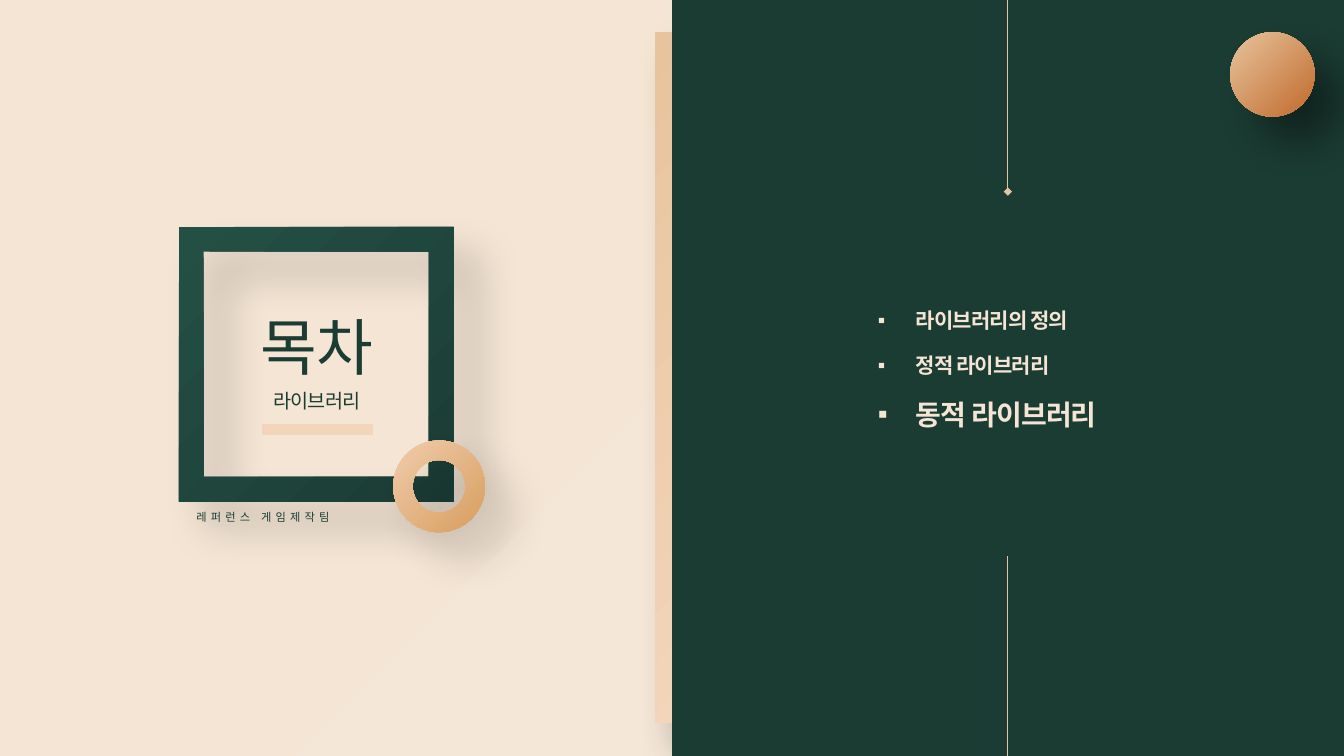
from dataclasses import dataclass

from lxml.etree import SubElement
from pptx import Presentation
from pptx.dml.color import RGBColor
from pptx.dml.fill import FillFormat
from pptx.enum.shapes import MSO_CONNECTOR, MSO_SHAPE
from pptx.enum.text import MSO_ANCHOR, MSO_AUTO_SIZE, PP_ALIGN
from pptx.oxml.ns import qn
from pptx.util import Cm, Pt

FONT = "Noto Sans CJK KR"
WIDE, HIGH = 33.87, 19.05
MID = 25.4
CREAM = RGBColor(0xF4, 0xE5, 0xD4)
PALE = RGBColor(0xF5, 0xE7, 0xD8)
SAND = RGBColor(0xE7, 0xC4, 0x9D)
PEACH = RGBColor(0xF3, 0xD5, 0xBB)
BLUSH = RGBColor(0xF0, 0xCC, 0xAC)
GOLD = RGBColor(0xD8, 0x9E, 0x5F)
RUST = RGBColor(0xC1, 0x6A, 0x2C)
ROSE = RGBColor(0xE4, 0xC2, 0xA9)
MOSS = RGBColor(0x24, 0x50, 0x44)
PINE = RGBColor(0x1B, 0x3C, 0x35)
DARK = RGBColor(0x1B, 0x3C, 0x33)

Box = tuple[float, float, float, float]


@dataclass
class Form:
    kind: MSO_SHAPE
    box: Box
    start: RGBColor
    stop: RGBColor
    shade: int = 0  # shadow strength in percent
    hole: float | None = None


@dataclass
class Label:
    text: str
    size: float
    gap: float = 0  # letter spacing in points


@dataclass
class Rule:
    left: float
    top: float
    right: float
    foot: float
    color: RGBColor
    width: float
    tip: str = ""


STRIP = Form(MSO_SHAPE.RECTANGLE, (16.51, 0.81, 0.94, 17.4), SAND, PEACH, 40)
PANEL = Form(MSO_SHAPE.RECTANGLE, (16.93, 0, 16.94, HIGH), PINE, DARK)
FRAME = Form(MSO_SHAPE.FRAME, (4.51, 5.72, 6.92, 6.92), MOSS, PINE, 17, 0.09)
RING = Form(MSO_SHAPE.DONUT, (9.91, 11.1, 2.31, 2.31), BLUSH, GOLD, 17, 0.213)
BALL = Form(MSO_SHAPE.OVAL, (31, 0.81, 2.13, 2.13), SAND, RUST, 40)
TOPICS = [
    Label("라이브러리의 정의", 15, -0.6),
    Label("정적 라이브러리", 15, -0.6),
    Label("동적 라이브러리", 20, -0.6),
]
RULES = [
    Rule(MID, 0, MID, 4.83, ROSE, 0.75, "diamond"),
    Rule(MID, 14.02, MID, HIGH, ROSE, 0.75),
    Rule(6.6, 10.82, 9.4, 10.82, PEACH, 8),
]


def apply(target, style: dict) -> None:
    for name, value in style.items():
        setattr(target, name, value)


def place(shape, box: Box) -> None:
    sides = ("left", "top", "width", "height")
    apply(shape, dict(zip(sides, map(Cm, box))))


def blend(fill: FillFormat, start: RGBColor, stop: RGBColor) -> None:
    fill.gradient()
    fill.gradient_angle = 315
    for mark, color, spot in zip(fill.gradient_stops, (start, stop), (0, 1)):
        mark.color.rgb = color
        mark.position = spot


def spread(root) -> None:
    """Turn the first gradient under root into one from the bottom right."""
    grad = next(root.iter(qn("a:gradFill")))
    grad.remove(grad.find(qn("a:lin")))
    ray = SubElement(grad, qn("a:path"), path="circle")
    SubElement(ray, qn("a:fillToRect"), l="100000", t="100000")


def draw(slide, form: Form):
    shape = slide.shapes.add_shape(form.kind, *map(Cm, form.box))
    blend(shape.fill, form.start, form.stop)
    shape.line.fill.background()
    shape.shadow.inherit = False
    if form.hole is not None:
        shape.adjustments[0] = form.hole
    if form.shade:
        glow = shape.element.spPr.find(qn("a:effectLst"))
        cast = SubElement(glow, qn("a:outerShdw"), blurRad=str(Pt(30)),
                          dist=str(Pt(26)), dir="2700000", algn="tl",
                          rotWithShape="0")
        tint = SubElement(cast, qn("a:srgbClr"), val="000000")
        SubElement(tint, qn("a:alpha"), val=str(form.shade * 1000))
    return shape


def write(para, label: Label, color: RGBColor, bold: bool = False) -> None:
    run = para.add_run()
    run.text = label.text
    apply(run.font, {"name": FONT, "size": Pt(label.size), "bold": bold})
    run.font.color.rgb = color
    props = run.font._element
    props.set("spc", str(round(label.gap * 100)))
    SubElement(props, qn("a:ea"), typeface=FONT)


def setup(shape, box: Box, inset: bool = True):
    place(shape, box)
    frame = shape.text_frame
    apply(frame, {"word_wrap": True, "auto_size": MSO_AUTO_SIZE.NONE,
                  "vertical_anchor": MSO_ANCHOR.MIDDLE})
    if not inset:
        sides = ("left", "top", "right", "bottom")
        apply(frame, {f"margin_{side}": 0 for side in sides})
    return frame


def center(shape, box: Box, label: Label, inset: bool = False) -> None:
    para = setup(shape, box, inset).paragraphs[0]
    apply(para, {"alignment": PP_ALIGN.CENTER, "line_spacing": 1.2})
    write(para, label, DARK)


def fill_list(shape) -> None:
    frame = setup(shape, (21.87, 0.61, 7.47, 17.4))
    for num, topic in enumerate(TOPICS):
        para = frame.add_paragraph() if num else frame.paragraphs[0]
        apply(para, {"alignment": PP_ALIGN.LEFT, "line_spacing": 1.0,
                     "space_before": Pt(14 if num else 0)})
        write(para, topic, CREAM, True)
        props = para._p.get_or_add_pPr()
        props.set("marL", str(Cm(0.95)))
        props.set("indent", str(-Cm(0.95)))
        SubElement(props, qn("a:buChar"), char="▪")


def join(slide, rule: Rule) -> None:
    ends = map(Cm, (rule.left, rule.top, rule.right, rule.foot))
    line = slide.shapes.add_connector(MSO_CONNECTOR.STRAIGHT, *ends)
    line.line.color.rgb = rule.color
    line.line.width = Pt(rule.width)
    if rule.tip:
        SubElement(line.line._get_or_add_ln(), qn("a:tailEnd"), type=rule.tip)
    SubElement(line.element.spPr, qn("a:effectLst"))


def main() -> None:
    deck = Presentation()
    apply(deck, {"slide_width": Cm(WIDE), "slide_height": Cm(HIGH)})
    slide = deck.slides.add_slide(deck.slide_layouts[1])
    blend(slide.background.fill, PALE, CREAM)
    spread(slide.element)

    title, body = slide.placeholders
    draw(slide, STRIP)
    spread(draw(slide, PANEL).element)
    draw(slide, FRAME)
    draw(slide, RING)

    tree = slide.shapes.element
    for holder in (title, body):
        tree.append(holder.element)
    center(title, (4.52, 7.75, 6.93, 1.57), Label("목차", 44, -0.6))
    fill_list(body)
    team, topic = (slide.shapes.add_textbox(0, 0, 0, 0) for _ in range(2))
    center(team, (3.99, 12.67, 5.28, 0.66), Label("레퍼런스 게임제작팀", 8, 3), True)
    center(topic, (4.52, 9.6, 6.93, 0.86), Label("라이브러리", 14, -0.6))

    draw(slide, BALL)
    for rule in RULES:
        join(slide, rule)
    deck.save("out.pptx")


if __name__ == "__main__":
    main()
